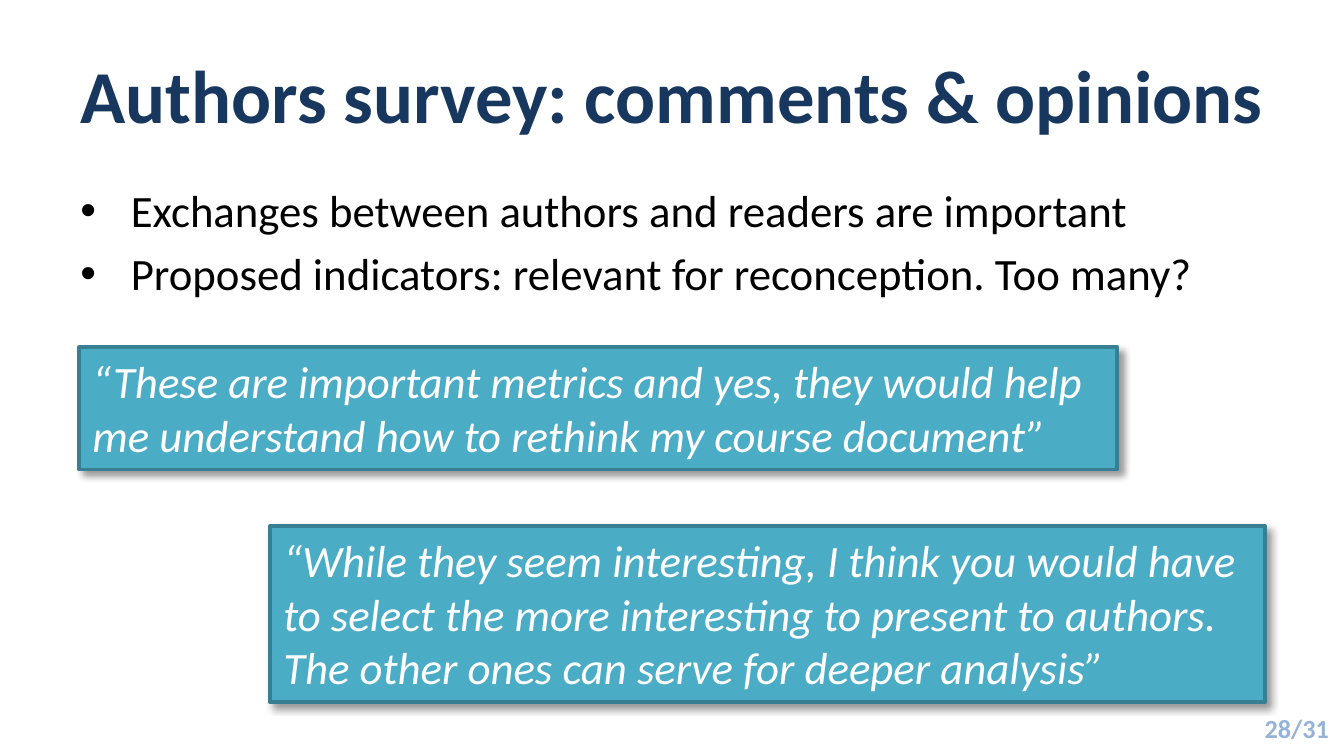
from lxml import etree
from pptx import Presentation
from pptx import util as u
from pptx.dml.color import RGBColor
from pptx.enum import shapes, text
from pptx.oxml import ns

TEAL, TEAL_DARK = "4BACC6", "377F92"
NAVY, PALE_BLUE = "17375E", "95B3D7"


def color(value):
    return RGBColor.from_string(value)


def write(p, content, size=24, fill="000000", bold=False, italic=False,
          align=text.PP_ALIGN.LEFT):
    p.alignment = align
    r = p.add_run()
    r.text = content
    r.font.name = "Calibri"
    r.font.size = u.Pt(size)
    r.font.bold = bold
    r.font.italic = italic
    r.font.color.rgb = color(fill)


def add_child(parent, tag, **attributes):
    return etree.SubElement(parent, ns.qn(tag), attributes)


class Deck:
    def __init__(self, width, height):
        self.prs = Presentation()
        self.prs.slide_width, self.prs.slide_height = u.Pt(width), u.Pt(height)
        self.slide = self.prs.slides.add_slide(self.prs.slide_layouts[5])

    def title(self, content, box):
        sp = self.slide.shapes.title
        sp.left, sp.top, sp.width, sp.height = map(u.Pt, box)
        tf = sp.text_frame
        tf.auto_size = text.MSO_AUTO_SIZE.NONE
        tf.vertical_anchor = text.MSO_ANCHOR.MIDDLE
        write(tf.paragraphs[0], content, size=40, fill=NAVY, bold=True)

    def text_box(self, box):
        tf = self.slide.shapes.add_textbox(*map(u.Pt, box)).text_frame
        tf.word_wrap = True
        return tf

    def bullets(self, items, box, indent=27):
        tf = self.text_box(box)
        for i, item in enumerate(items):
            p = tf.add_paragraph() if i else tf.paragraphs[0]
            p.space_before = u.Pt(4.8)
            write(p, item)
            pPr = p._p.get_or_add_pPr()
            pPr.set("marL", str(u.Pt(indent)))
            pPr.set("indent", str(-u.Pt(indent)))
            add_child(pPr, "a:buFont", typeface="Arial")
            add_child(pPr, "a:buChar", char="•")

    def quote(self, content, box):
        sp = self.slide.shapes.add_shape(
            shapes.MSO_SHAPE.RECTANGLE, *map(u.Pt, box))
        sp.fill.solid()
        sp.fill.fore_color.rgb = color(TEAL)
        sp.line.color.rgb = color(TEAL_DARK)
        sp.line.width = u.Pt(2)
        self.drop_shadow(sp)
        tf = sp.text_frame
        tf.word_wrap = True
        tf.auto_size = text.MSO_AUTO_SIZE.SHAPE_TO_FIT_TEXT
        tf.vertical_anchor = text.MSO_ANCHOR.TOP
        write(tf.paragraphs[0], content, fill="FFFFFF", italic=True)

    def drop_shadow(self, sp):
        sp.shadow.inherit = False
        effects = sp._element.spPr.find(ns.qn("a:effectLst"))
        shadow = add_child(effects, "a:outerShdw", blurRad=str(u.Pt(4)),
                           dist=str(u.Pt(3)), dir="2700000", algn="tl",
                           rotWithShape="0")
        black = add_child(shadow, "a:srgbClr", val="000000")
        add_child(black, "a:alpha", val="40000")

    def page_number(self, content, box):
        tf = self.text_box(box)
        tf.margin_left = tf.margin_right = 0
        tf.vertical_anchor = text.MSO_ANCHOR.MIDDLE
        write(tf.paragraphs[0], content, size=14, fill=PALE_BLUE, bold=True,
              align=text.PP_ALIGN.RIGHT)


def main():
    deck = Deck(720, 405)

    # Title and page number
    deck.page_number("28/31", (604, 379.5, 108, 21.6))
    deck.title("Authors survey: comments & opinions", (36, 16.5, 669.6, 67.7))

    # Main points
    deck.bullets(["Exchanges between authors and readers are important",
                  "Proposed indicators: relevant for reconception. Too many?"],
                 (36, 94.5, 648, 295))

    # Author quotes
    deck.quote("“These are important metrics and yes, they would help me "
               "understand how to rethink my course document”",
               (42.5, 186, 556, 65.5))
    deck.quote("“While they seem interesting, I think you would have to select "
               "the more interesting to present to authors. The other ones can "
               "serve for deeper analysis”",
               (144.7, 281.8, 533, 94.5))

    deck.prs.save("out.pptx")


if __name__ == "__main__":
    main()
